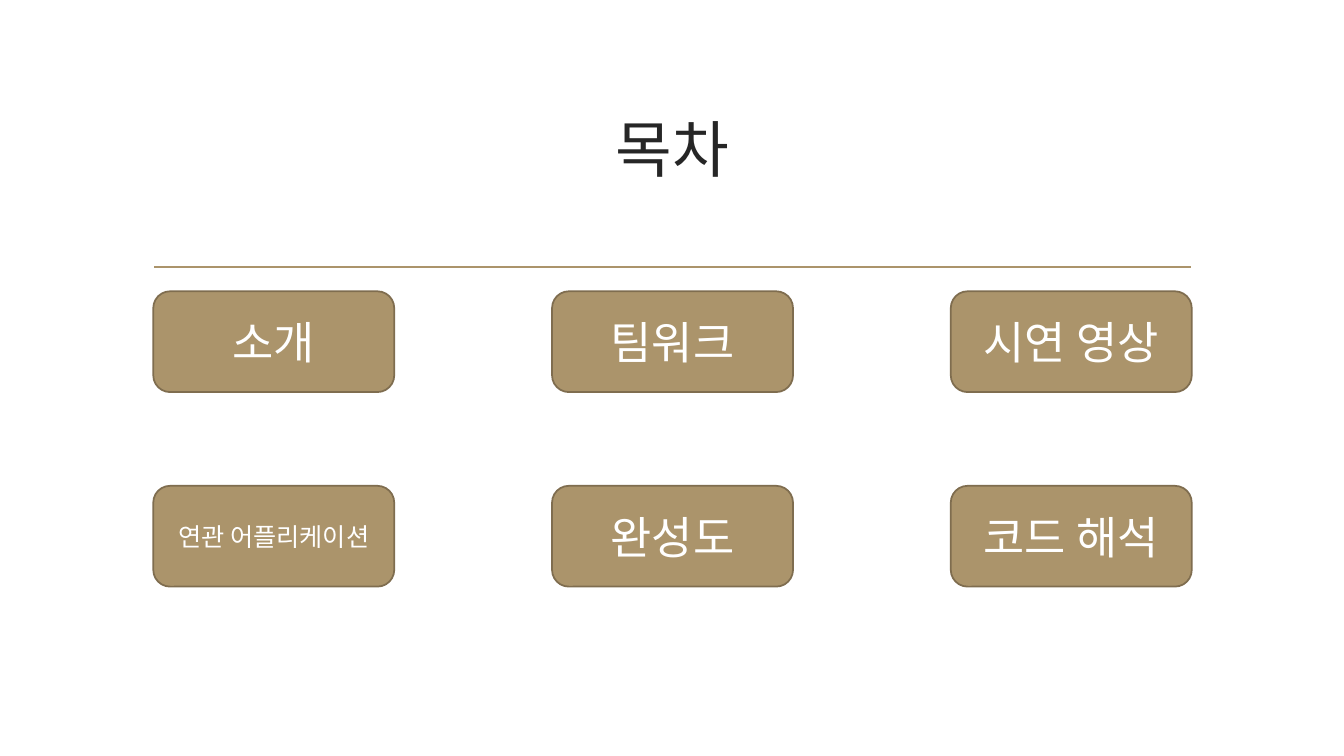
import pptx
import pptx.dml.color
import pptx.enum.shapes
import pptx.enum.text
import pptx.oxml.ns
import pptx.util
from lxml import etree
from pptx.util import Inches

GOLD = "AB946B"
DARK_GOLD = "7F6D4F"
WHITE = "FFFFFF"
INK = "262626"

# Topics by row, each with its text size
TOPICS = [
    [("소개", 32), ("팀워크", 32), ("시연 영상", 32)],
    [("연관 어플리케이션", 18), ("완성도", 32), ("코드 해석", 32)],
]
GRID_LEFT, GRID_TOP = 1.52, 2.89
COLUMN_STEP, ROW_STEP = 3.955, 1.93
BUTTON_WIDTH, BUTTON_HEIGHT = 2.39, 1


def color(hex_string):
    return pptx.dml.color.RGBColor.from_string(hex_string)


def set_line(line, hex_string):
    line.color.rgb = color(hex_string)
    line.width = pptx.util.Pt(1.25)


def write_centered(shape, text, size, font_name, hex_string):
    frame = shape.text_frame
    frame.word_wrap = True
    frame.vertical_anchor = pptx.enum.text.MSO_ANCHOR.MIDDLE
    paragraph = frame.paragraphs[0]
    paragraph.text = text
    paragraph.alignment = pptx.enum.text.PP_ALIGN.CENTER
    paragraph.font.size = pptx.util.Pt(size)
    paragraph.font.name = font_name
    paragraph.font.color.rgb = color(hex_string)


def add_title(slide, text):
    title = slide.shapes.add_textbox(
        Inches(1.42), Inches(0.75), Inches(10.5), Inches(1.43))
    write_centered(title, text, 44, "Arial", INK)


def add_divider(slide):
    divider = slide.shapes.add_connector(
        pptx.enum.shapes.MSO_CONNECTOR.STRAIGHT,
        Inches(1.53), Inches(2.65), Inches(11.81), Inches(2.65))
    set_line(divider.line, GOLD)
    etree.SubElement(divider._element.spPr, pptx.oxml.ns.qn("a:effectLst"))


def add_topic(slide, left, top, text, size):
    button = slide.shapes.add_shape(
        pptx.enum.shapes.MSO_SHAPE.ROUNDED_RECTANGLE,
        Inches(left), Inches(top), Inches(BUTTON_WIDTH), Inches(BUTTON_HEIGHT))
    button.shadow.inherit = False
    button.fill.solid()
    button.fill.fore_color.rgb = color(GOLD)
    set_line(button.line, DARK_GOLD)
    write_centered(button, text, size, "Times New Roman", WHITE)


def main():
    deck = pptx.Presentation()
    deck.slide_width = Inches(13.33)
    deck.slide_height = Inches(7.5)
    slide = deck.slides.add_slide(deck.slide_layouts[6])

    # Heading
    add_divider(slide)
    add_title(slide, "목차")

    # Grid of topics
    for row, topics in enumerate(TOPICS):
        for column, (text, size) in enumerate(topics):
            add_topic(slide, GRID_LEFT + column * COLUMN_STEP,
                      GRID_TOP + row * ROW_STEP, text, size)

    deck.save("out.pptx")


if __name__ == "__main__":
    main()
